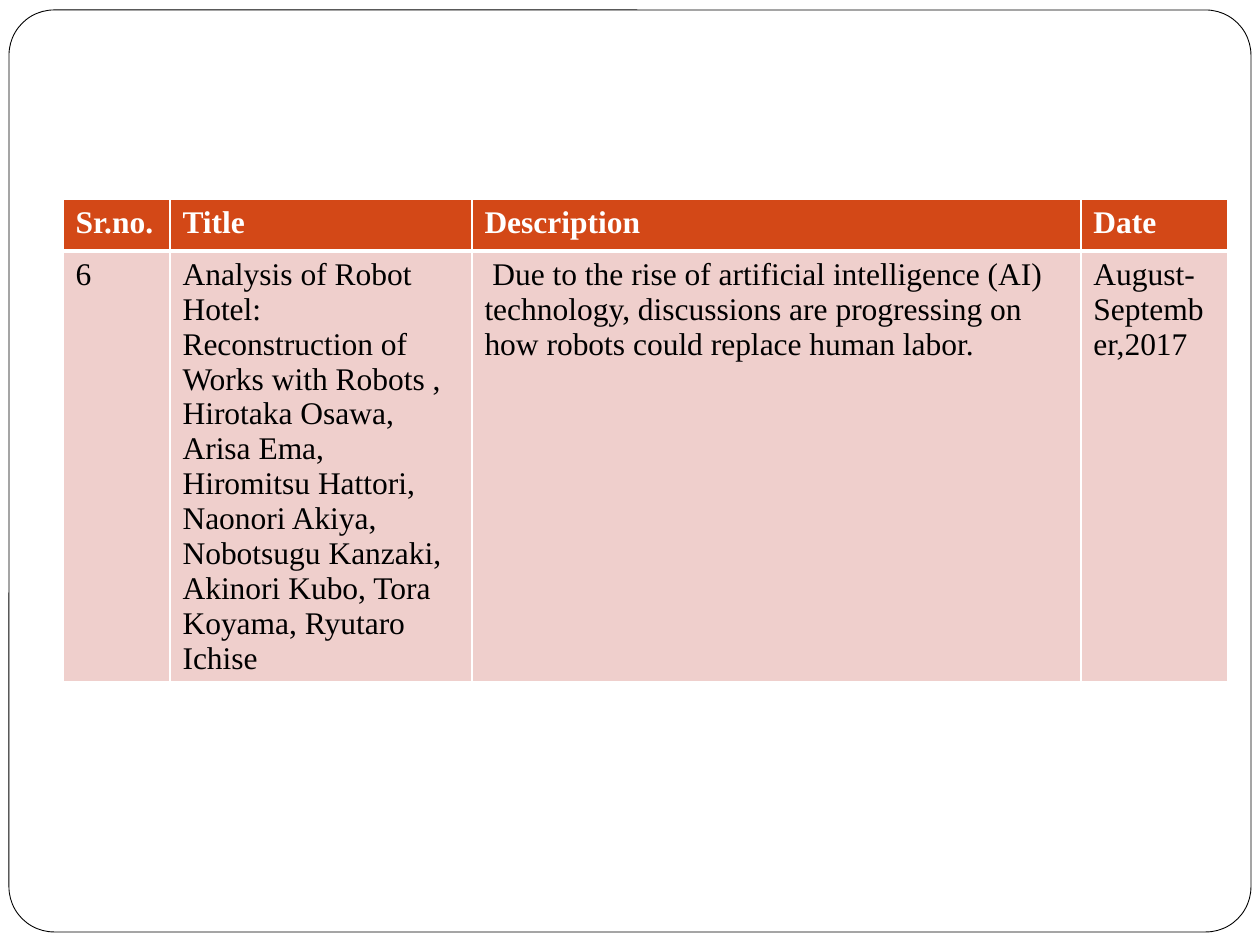
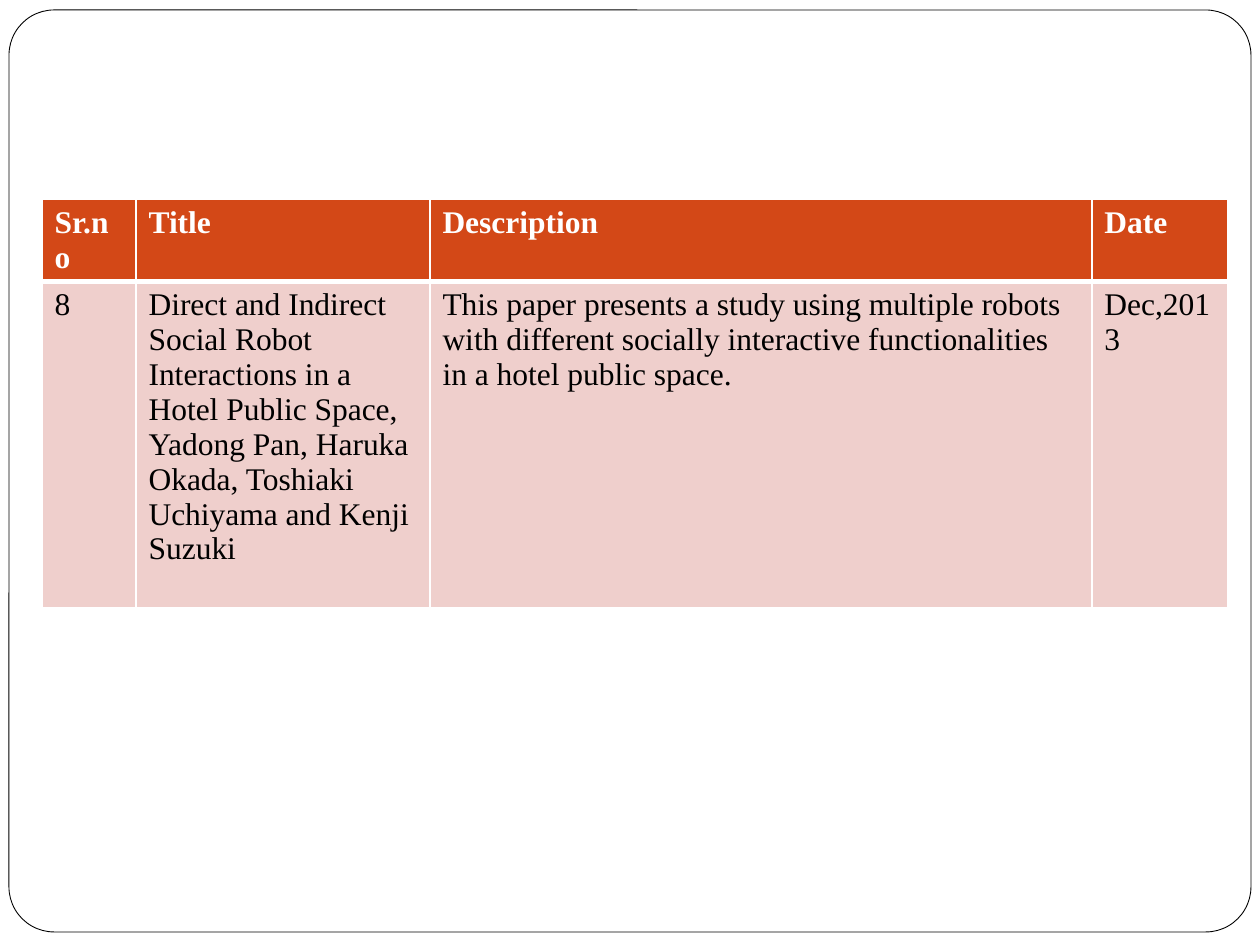
from lxml import etree
from pptx import Presentation
from pptx.dml.color import RGBColor
from pptx.enum.shapes import MSO_SHAPE
from pptx.oxml.ns import qn
from pptx.util import Emu, Pt

ROUNDED = MSO_SHAPE.ROUNDED_RECTANGLE

PX = 914400 // 126
SLIDE_SIZE = (1260, 945)
FRAME_BOX = (9, 10, 1242, 922)
FRAME_CORNER = 0.049
TABLE_TOP = 199
FONT = "Times New Roman"
FONT_SIZE = 18
THIN, THICK = 1, 3
COLORS = {
    "paper": "FFFFFF",
    "frame": "000000",
    "header": "D34817",
    "body": "EFCFCC",
    "header_text": "FFFFFF",
    "body_text": "000000",
    "border": "FFFFFF",
}

# Each paper: table left edge, column widths, row heights, header and body texts.
# A line break inside a text starts a new paragraph.
PAPERS = [
    {
        "left": 63,
        "columns": (107, 302, 609, 147),
        "rows": (52, 394),
        "header": ("Sr.no.", "Title ", "Description", "Date"),
        "entry": (
            "6",
            "Analysis of Robot Hotel: Reconstruction of Works with Robots ,\n"
            "Hirotaka Osawa, Arisa Ema, Hiromitsu Hattori, Naonori Akiya, "
            "Nobotsugu Kanzaki, Akinori Kubo, Tora Koyama, Ryutaro Ichise ",
            " Due to the rise of artificial intelligence (AI) technology, "
            "discussions are progressing on how robots could replace human labor. ",
            "August-September,2017",
        ),
    },
    {
        "left": 42,
        "columns": (94, 294, 662, 136),
        "rows": (82, 326),
        "header": ("Sr.no", "Title ", "Description ", "Date "),
        "entry": (
            "8",
            "Direct and Indirect Social Robot Interactions in a Hotel Public Space,\n"
            "Yadong Pan, Haruka Okada, Toshiaki Uchiyama and Kenji Suzuki",
            "This paper presents a study using multiple robots with different "
            "socially interactive functionalities in a hotel public space. ",
            "Dec,2013",
        ),
    },
]


def px(length):
    """Turn pixels into EMU."""
    return Emu(length * PX)


def rgb(role):
    """Look up the colour of a role."""
    return RGBColor.from_string(COLORS[role])


def add_frame(slide, layout):
    """Draw the rounded page frame and move it to the shared layout."""
    frame = slide.shapes.add_shape(ROUNDED, *map(px, FRAME_BOX))
    frame.adjustments[0] = FRAME_CORNER
    frame.shadow.inherit = False
    frame.fill.solid()
    frame.fill.fore_color.rgb = rgb("paper")
    frame.line.color.rgb = rgb("frame")
    frame.line.width = Pt(0.5)
    layout.shapes.element.insert(2, frame.element)


def set_borders(cell, top, bottom):
    """Give a cell white borders; top and bottom widths are in points."""
    properties = cell._tc.get_or_add_tcPr()
    widths = {"a:lnL": THIN, "a:lnR": THIN, "a:lnT": top, "a:lnB": bottom}
    for position, (tag, width) in enumerate(widths.items()):
        line = etree.Element(qn(tag), w=str(Pt(width)))
        fill = etree.SubElement(line, qn("a:solidFill"))
        etree.SubElement(fill, qn("a:srgbClr"), val=COLORS["border"])
        properties.insert(position, line)


def fill_cell(cell, text, role, bold):
    """Write a cell's text and set its colours and font."""
    cell.text_frame.text = text
    cell.fill.solid()
    cell.fill.fore_color.rgb = rgb(role)
    for paragraph in cell.text_frame.paragraphs:
        for run in paragraph.runs:
            run.font.name = FONT
            run.font.size = Pt(FONT_SIZE)
            run.font.bold = bold
            run.font.color.rgb = rgb(role + "_text")


def add_paper(slide, paper):
    """Add the table that describes one paper."""
    columns, rows = paper["columns"], paper["rows"]
    table = slide.shapes.add_table(
        len(rows), len(columns), px(paper["left"]), px(TABLE_TOP),
        px(sum(columns)), px(sum(rows))).table
    for column, width in zip(table.columns, columns):
        column.width = px(width)
    for row, height in zip(table.rows, rows):
        row.height = px(height)
    for number, (header, entry) in enumerate(zip(paper["header"], paper["entry"])):
        header_cell, entry_cell = table.cell(0, number), table.cell(1, number)
        fill_cell(header_cell, header, "header", True)
        set_borders(header_cell, THIN, THICK)
        fill_cell(entry_cell, entry, "body", False)
        set_borders(entry_cell, THICK, THIN)


def main():
    """Build the presentation."""
    deck = Presentation()
    deck.slide_width, deck.slide_height = map(px, SLIDE_SIZE)
    layout = deck.slide_layouts[6]
    slides = [deck.slides.add_slide(layout) for _ in PAPERS]
    add_frame(slides[0], layout)
    for slide, paper in zip(slides, PAPERS):
        add_paper(slide, paper)
    deck.save("out.pptx")


main()
